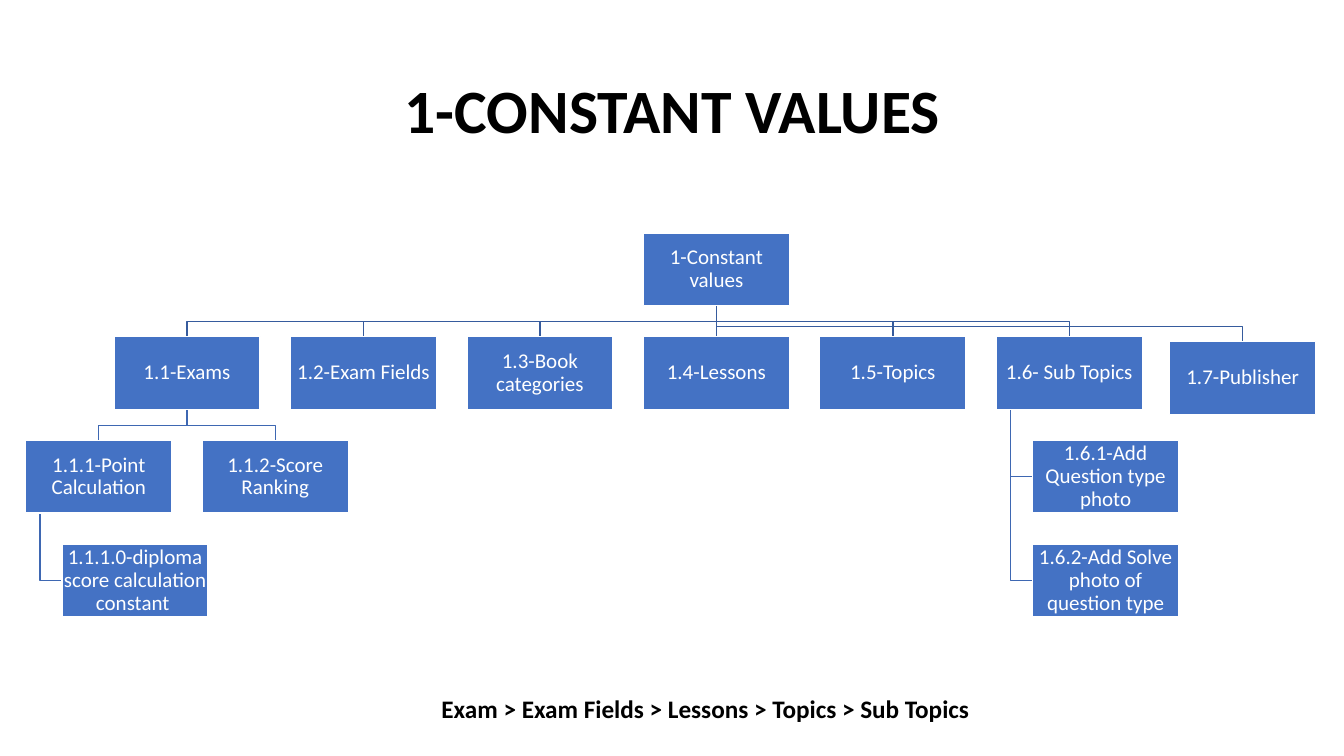
from dataclasses import dataclass
from typing import Optional

from lxml.etree import SubElement
from pptx import Presentation
from pptx.dml.color import RGBColor
from pptx.enum.shapes import MSO_CONNECTOR, MSO_SHAPE
from pptx.enum.text import MSO_ANCHOR, PP_ALIGN
from pptx.oxml.ns import qn
from pptx.util import Inches, Pt

BLACK = RGBColor(0x00, 0x00, 0x00)
WHITE = RGBColor(0xFF, 0xFF, 0xFF)
BLUE = RGBColor(0x44, 0x72, 0xC4)
TOP_LINK = RGBColor(0x36, 0x5B, 0x9D)
LOWER_LINK = RGBColor(0x3E, 0x67, 0xB2)

# Chart grid, in inches
BOX_WIDTH, BOX_HEIGHT = 1.45, 0.72
FIRST_LEFT, COLUMN_STEP = 1.13, 1.75
FIRST_TOP, ROW_STEP = 2.31, 1.03
BEND = 0.15  # height of the last leg of a link
STEM, INDENT = 0.14, 0.36  # offsets of a hanging branch from its parent


@dataclass
class Node:
    text: str
    left: float
    top: float
    parent: Optional["Node"] = None
    hanging: bool = False

    @property
    def middle(self) -> float:
        return self.left + BOX_WIDTH / 2


def grid_node(text: str, column: float, row: int, parent: Optional[Node] = None) -> Node:
    return Node(text, FIRST_LEFT + column * COLUMN_STEP, FIRST_TOP + row * ROW_STEP, parent)


def hanging_node(text: str, parent: Node, rows_below: int = 1) -> Node:
    return Node(text, parent.left + INDENT, parent.top + rows_below * ROW_STEP, parent, True)


def write_text(frame, text: str, *, size: float, color: RGBColor, bold: bool = False,
               align=PP_ALIGN.LEFT, anchor=MSO_ANCHOR.TOP,
               spacing: float = 1.0, margin: Optional[float] = None) -> None:
    frame.word_wrap = True
    frame.vertical_anchor = anchor
    if margin is not None:
        frame.margin_left = frame.margin_right = Inches(margin)
        frame.margin_top = frame.margin_bottom = Inches(margin)
    para = frame.paragraphs[0]
    para.alignment = align
    para.line_spacing = spacing
    span = para.add_run()
    span.text = text
    span.font.name = "Calibri"
    span.font.size = Pt(size)
    span.font.bold = bold
    span.font.color.rgb = color


def draw_link(page, node: Node, parent: Node) -> None:
    bottom = parent.top + BOX_HEIGHT
    if node.hanging:
        stem, level = parent.left + STEM, node.top + BOX_HEIGHT / 2
        points = [(stem, bottom), (stem, level), (node.left, level)]
    elif node.middle == parent.middle:
        points = [(parent.middle, bottom), (node.middle, node.top)]
    else:
        bend = node.top - BEND
        points = [(parent.middle, bottom), (parent.middle, bend),
                  (node.middle, bend), (node.middle, node.top)]
    corners = [(Inches(x), Inches(y)) for x, y in points]

    if len(corners) == 2:
        link = page.shapes.add_connector(MSO_CONNECTOR.STRAIGHT, *corners[0], *corners[1])
        SubElement(link._element.spPr, qn("a:effectLst"))
    else:
        builder = page.shapes.build_freeform(*corners[0])
        builder.add_line_segments(corners[1:], close=False)
        link = builder.convert_to_shape()
        link.fill.background()
        link.shadow.inherit = False
    link.line.color.rgb = LOWER_LINK if parent.parent else TOP_LINK
    link.line.width = Pt(1)


def draw_box(page, node: Node) -> None:
    box = page.shapes.add_shape(MSO_SHAPE.RECTANGLE, Inches(node.left), Inches(node.top),
                                Inches(BOX_WIDTH), Inches(BOX_HEIGHT))
    box.shadow.inherit = False
    box.fill.solid()
    box.fill.fore_color.rgb = BLUE
    box.line.color.rgb = WHITE
    box.line.width = Pt(1)
    write_text(box.text_frame, node.text, size=15, color=WHITE, align=PP_ALIGN.CENTER,
               anchor=MSO_ANCHOR.MIDDLE, spacing=0.9, margin=0.01)


def build_nodes() -> list[Node]:
    root = grid_node("1-Constant values", 3, 0)
    names = ["1.1-Exams", "1.2-Exam Fields", "1.3-Book categories",
             "1.4-Lessons", "1.5-Topics", "1.6- Sub Topics"]
    sections = [grid_node(name, column, 1, root) for column, name in enumerate(names)]
    exams, sub_topics = sections[0], sections[-1]
    points = grid_node("1.1.1-Point Calculation", -0.5, 2, exams)
    return [
        root, *sections, points,
        hanging_node("1.1.1.0-diploma score calculation constant ", points),
        grid_node("1.1.2-Score Ranking", 0.5, 2, exams),
        hanging_node("1.6.1-Add Question type photo", sub_topics),
        hanging_node("1.6.2-Add Solve photo of question type", sub_topics, 2),
        Node("1.7-Publisher", 11.6, 3.39, root),
    ]


def main() -> None:
    deck = Presentation()
    deck.slide_width, deck.slide_height = Inches(13.33), Inches(7.5)
    page = deck.slides.add_slide(deck.slide_layouts[6])

    # Title
    title = page.shapes.add_textbox(Inches(0.92), Inches(0.4), Inches(11.5), Inches(1.45))
    write_text(title.text_frame, "1-CONSTANT VALUES", size=44, color=BLACK, bold=True,
               align=PP_ALIGN.CENTER, anchor=MSO_ANCHOR.MIDDLE, spacing=0.9)

    # Hierarchy: links behind boxes
    nodes = build_nodes()
    for node in nodes:
        if node.parent:
            draw_link(page, node, node.parent)
    for node in nodes:
        draw_box(page, node)

    # Order of the levels
    footer = page.shapes.add_textbox(Inches(4.28), Inches(6.83), Inches(5.72), Inches(0.4))
    write_text(footer.text_frame, "Exam > Exam Fields > Lessons > Topics > Sub Topics",
               size=18, color=BLACK, bold=True)

    deck.save("out.pptx")


if __name__ == "__main__":
    main()
